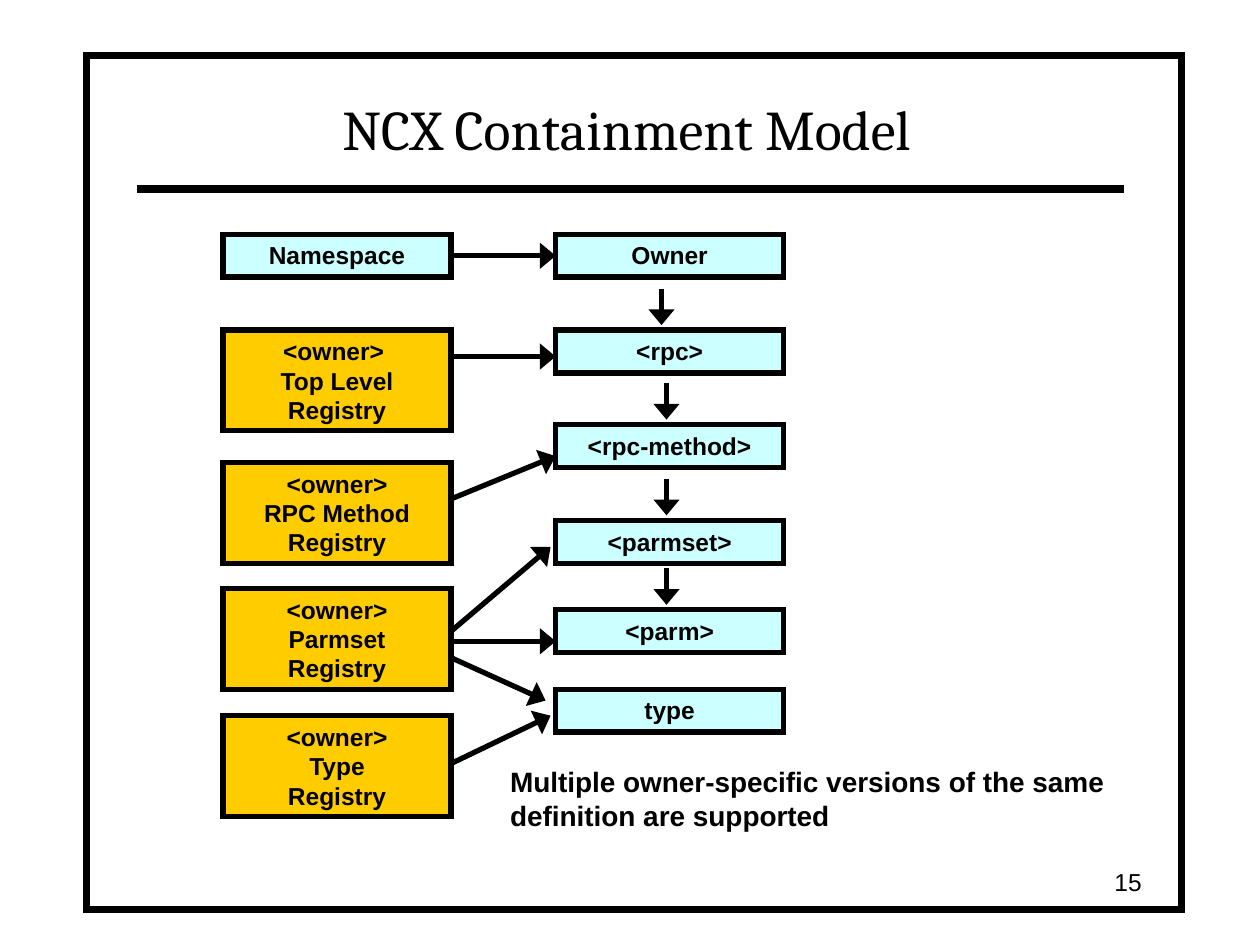
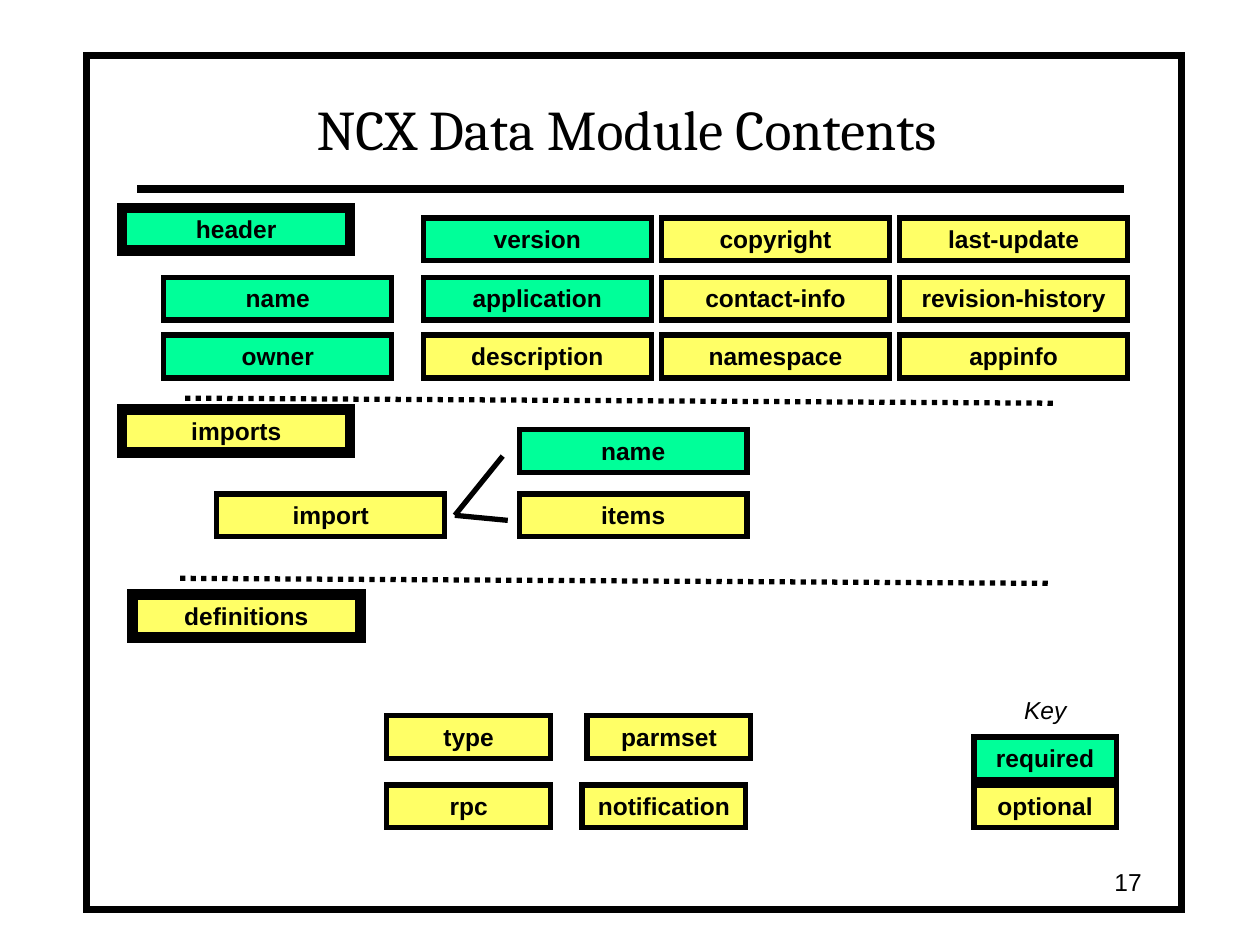
from pptx import Presentation
from pptx.dml.color import RGBColor
from pptx.enum.dml import MSO_LINE
from pptx.enum.shapes import MSO_CONNECTOR, MSO_SHAPE
from pptx.enum.text import MSO_ANCHOR, PP_ALIGN
from pptx.oxml.ns import qn
from pptx.util import Inches, Pt
from lxml import etree

BLACK = RGBColor(0x00, 0x00, 0x00)
WHITE = RGBColor(0xFF, 0xFF, 0xFF)
CYAN = RGBColor(0xCC, 0xFF, 0xFF)
GOLD = RGBColor(0xFF, 0xCC, 0x00)
GREEN = RGBColor(0x00, 0xFF, 0x99)
YELLOW = RGBColor(0xFF, 0xFF, 0x66)
REQUIRED, OPTIONAL = GREEN, YELLOW

LEFT, CENTER, RIGHT = PP_ALIGN.LEFT, PP_ALIGN.CENTER, PP_ALIGN.RIGHT
TOP, MIDDLE, BOTTOM = MSO_ANCHOR.TOP, MSO_ANCHOR.MIDDLE, MSO_ANCHOR.BOTTOM
RECTANGLE, STRAIGHT = MSO_SHAPE.RECTANGLE, MSO_CONNECTOR.STRAIGHT
DOTTED = MSO_LINE.ROUND_DOT

# Grid measures in inches
SLIDE_WIDTH, SLIDE_HEIGHT = 10, 7.5
BOX_WIDTH, BOX_HEIGHT = 1.81, 0.34
REGISTRY_HEIGHT = 0.8
TEXT_SIZE = 14
THIN, THICK = 3, 6


def write(shape, text, size=TEXT_SIZE, font="Arial", bold=False, italic=False,
          align=LEFT, anchor=TOP):
    frame = shape.text_frame
    frame.text = text
    frame.word_wrap = True
    frame.vertical_anchor = anchor
    paragraph = frame.paragraphs[0]
    paragraph.alignment = align
    for run in paragraph.runs:
        run.font.name = font
        run.font.size = Pt(size)
        run.font.bold = bold
        run.font.italic = italic
        run.font.color.rgb = BLACK


def add_text(slide, text, left, top, width, height, **style):
    shape = slide.shapes.add_textbox(
        Inches(left), Inches(top), Inches(width), Inches(height))
    write(shape, text, **style)


def add_rectangle(slide, left, top, width, height, fill, weight):
    shape = slide.shapes.add_shape(
        RECTANGLE, Inches(left), Inches(top), Inches(width), Inches(height))
    shape.shadow.inherit = False
    shape.fill.solid()
    shape.fill.fore_color.rgb = fill
    shape.line.color.rgb = BLACK
    shape.line.width = Pt(weight)
    # Square corners on the outline
    line = shape.line._get_or_add_ln()
    etree.SubElement(line, qn("a:miter"), lim="800000")
    return shape


def add_box(slide, text, left, top, fill, width=BOX_WIDTH, height=BOX_HEIGHT,
            weight=THIN):
    shape = add_rectangle(slide, left, top, width, height, fill, weight)
    write(shape, text, bold=True, align=CENTER)


def add_line(slide, start, end, weight=THIN, dash=None, arrow=False):
    connector = slide.shapes.add_connector(
        STRAIGHT, *(Inches(value) for value in (*start, *end)))
    connector.line.color.rgb = BLACK
    connector.line.width = Pt(weight)
    if dash:
        connector.line.dash_style = dash
    if arrow:
        line = connector.line._get_or_add_ln()
        etree.SubElement(line, qn("a:tailEnd"), type="triangle", w="lg",
                         len="med")
    etree.SubElement(connector._element.spPr, qn("a:effectLst"))


def add_framed_slide(presentation, title, number):
    """Start a slide with the shared frame, title, rule and page number."""
    slide = presentation.slides.add_slide(presentation.slide_layouts[6])
    add_rectangle(slide, 0.69, 0.44, 8.69, 6.78, WHITE, 4)
    add_line(slide, (1.09, 1.5), (8.92, 1.5), weight=4.5)
    add_text(slide, title, 1.08, 0.58, 7.79, 0.75, size=32, font="Cambria",
             align=CENTER, anchor=BOTTOM)
    add_text(slide, str(number), 7.08, 6.83, 2.08, 0.33, align=RIGHT,
             anchor=MIDDLE)
    return slide


def build_containment_model(presentation):
    slide = add_framed_slide(presentation, "NCX Containment Model", 15)
    registry_left, element_left = 1.77, 4.41
    registry_right = registry_left + BOX_WIDTH

    # Chain of elements, each with an arrow down to the next
    elements = [("Owner", 1.86), ("<rpc>", 2.62), ("<rpc-method>", 3.37),
                ("<parmset>", 4.13), ("<parm>", 4.84), ("type", 5.47)]
    for name, top in elements:
        add_box(slide, name, element_left, top, CYAN)
    for index, (name, top) in enumerate(elements[1:-1]):
        x = 5.25 if index == 0 else 5.29
        add_line(slide, (x, top - 0.33), (x, top - 0.04), arrow=True)

    # Namespace and registries
    add_box(slide, "Namespace", registry_left, elements[0][1], CYAN)
    registries = [("<owner> \vTop Level", 2.62), ("<owner>\vRPC Method", 3.67),
                  ("<owner>\vParmset", 4.67), ("<owner>\vType", 5.68)]
    for name, top in registries:
        add_box(slide, name + "\vRegistry", registry_left, top, GOLD,
                height=REGISTRY_HEIGHT)

    # Arrows from the left column: start height, end position
    for start_y, end_x, end_y in [
            (2.03, element_left, 2.03), (2.83, element_left, 2.83),
            (3.96, element_left, 3.62), (5.01, 4.37, 4.34),
            (5.09, element_left, 5.09), (5.22, 4.33, 5.56),
            (6.06, 4.37, 5.68)]:
        add_line(slide, (registry_right, start_y), (end_x, end_y), arrow=True)

    add_text(slide, "Multiple owner-specific versions of the same "
             "definition are supported", 3.95, 6.02, 5.12, 0.64,
             size=16, bold=True)


def build_module_contents(presentation):
    slide = add_framed_slide(presentation, "NCX Data Module Contents", 17)

    # Section headings
    for name, left, top, fill in [("header", 0.97, 1.65, REQUIRED),
                                  ("imports", 0.97, 3.25, OPTIONAL),
                                  ("definitions", 1.05, 4.72, OPTIONAL)]:
        add_box(slide, name, left, top, fill, weight=THICK)

    # Header fields: a grid of columns, with an empty first cell
    column_lefts = [1.3, 3.36, 5.25, 7.14]
    row_tops = [1.73, 2.2, 2.66]
    header_rows = [(None, "version", "copyright", "last-update"),
                   ("name", "application", "contact-info", "revision-history"),
                   ("owner", "description", "namespace", "appinfo")]
    required_fields = {"version", "name", "application", "owner"}
    for top, names in zip(row_tops, header_rows):
        for left, name in zip(column_lefts, names):
            if name:
                fill = REQUIRED if name in required_fields else OPTIONAL
                add_box(slide, name, left, top, fill)

    # Dotted section dividers
    for left, top in [(1.47, 3.16), (1.43, 4.59)]:
        add_line(slide, (left, top), (left + 6.89, top + 0.04), dash=DOTTED)

    # Import and its two parts
    add_box(slide, "import", 1.72, 3.92, OPTIONAL)
    add_box(slide, "name", 4.12, 3.41, REQUIRED)
    add_box(slide, "items", 4.12, 3.92, OPTIONAL)
    for end in [(3.99, 3.62), (4.03, 4.13)]:
        add_line(slide, (3.61, 4.09), end)

    # Definition kinds
    for name, left, top in [("type", 3.07, 5.68), ("parmset", 4.66, 5.68),
                            ("rpc", 3.07, 6.23), ("notification", 4.62, 6.23)]:
        add_box(slide, name, left, top, OPTIONAL, width=1.3)

    # Key
    add_text(slide, "Key", 8.03, 5.47, 0.7, BOX_HEIGHT, italic=True)
    for name, top, fill in [("required", 5.85, REQUIRED),
                            ("optional", 6.23, OPTIONAL)]:
        add_box(slide, name, 7.73, top, fill, width=1.13)


def main():
    presentation = Presentation()
    presentation.slide_width = Inches(SLIDE_WIDTH)
    presentation.slide_height = Inches(SLIDE_HEIGHT)
    build_containment_model(presentation)
    build_module_contents(presentation)
    presentation.save("out.pptx")


if __name__ == "__main__":
    main()
